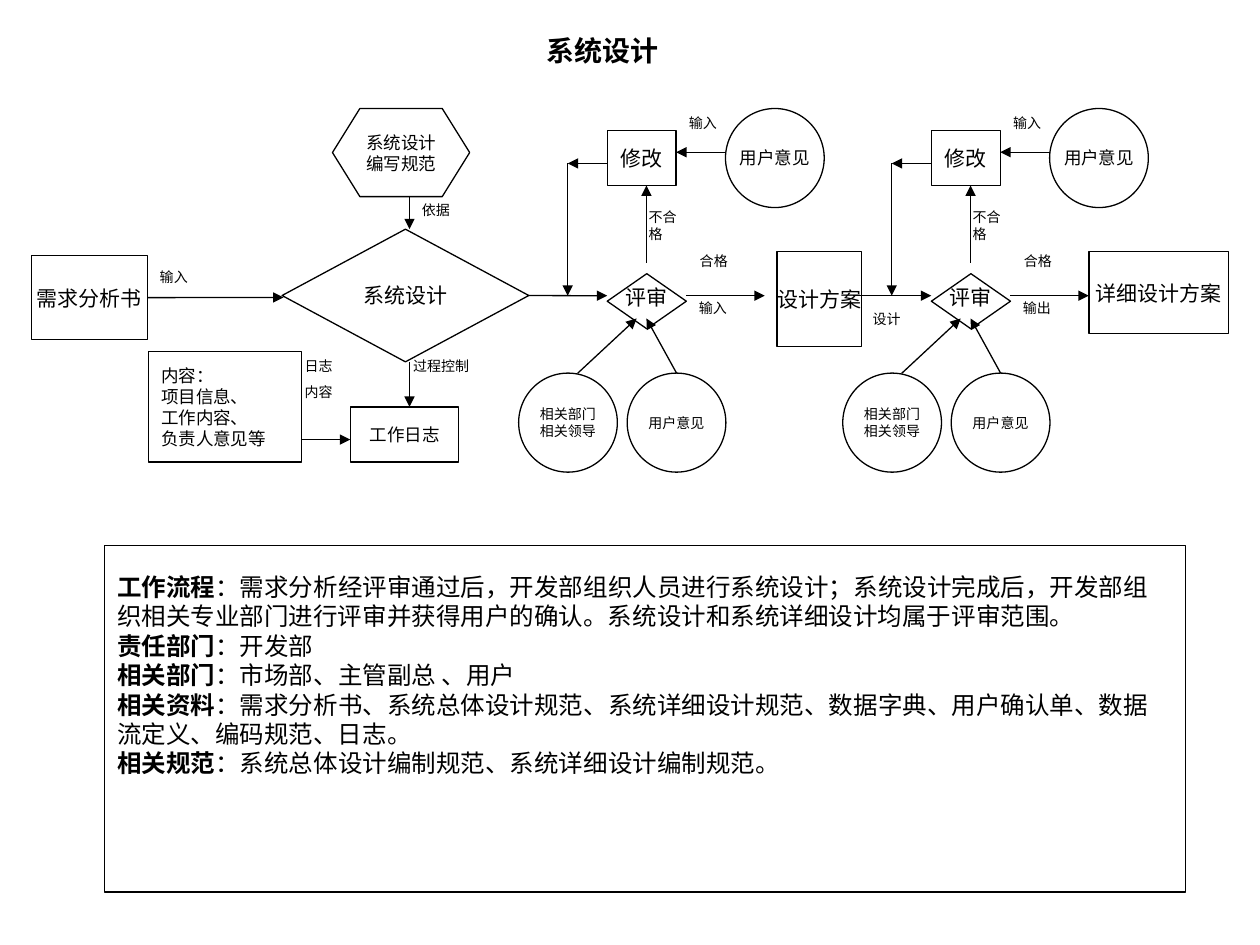
from lxml import etree
from pptx import Presentation
from pptx.dml.color import RGBColor
from pptx.enum import shapes, text
from pptx.oxml import ns
from pptx.util import Pt

BLACK = RGBColor(0, 0, 0)
FONT = "Times New Roman"
KIND = shapes.MSO_SHAPE
LEFT, CENTER = text.PP_ALIGN.LEFT, text.PP_ALIGN.CENTER
TOP, MIDDLE = text.MSO_ANCHOR.TOP, text.MSO_ANCHOR.MIDDLE

prs = Presentation()
prs.slide_width, prs.slide_height = Pt(720), Pt(540)
s = prs.slides.add_slide(prs.slide_layouts[6])


def add_text(kind, x, y, w, h, content, size=8, align=CENTER, wrap=False,
             anchor=MIDDLE, top=3.6, bottom=3.6):
    """Add an outlined shape, or a text box if kind is None; "|" ends a bold lead."""
    box = [Pt(v) for v in (x, y, w, h)]
    if kind is None:
        sp = s.shapes.add_textbox(*box)
        align, anchor = LEFT, TOP
    else:
        sp = s.shapes.add_shape(kind, *box)
        sp.shadow.inherit = False
        sp.fill.background()
        sp.line.color.rgb = BLACK
        sp.line.width = Pt(0.75)
    tf = sp.text_frame
    frame_format = {"word_wrap": wrap, "vertical_anchor": anchor,
                    "margin_left": Pt(7.2), "margin_right": Pt(7.2),
                    "margin_top": Pt(top), "margin_bottom": Pt(bottom)}
    for name, value in frame_format.items():
        setattr(tf, name, value)
    for i, line in enumerate(content.split("\n")):
        p = tf.add_paragraph() if i else tf.paragraphs[0]
        p.alignment = align
        if kind is None:
            p.space_before = Pt(5)
        lead, _, rest = line.rpartition("|")
        for part, bold in ((lead, True), (rest, False)):
            if part:
                r = p.add_run()
                r.text = part
                r.font.color.rgb = BLACK
                for name, value in {"name": FONT, "size": Pt(size), "bold": bold}.items():
                    setattr(r.font, name, value)
    return sp


def add_arrow(x1, y1, x2, y2):
    c = s.shapes.add_connector(shapes.MSO_CONNECTOR.STRAIGHT, Pt(x1), Pt(y1), Pt(x2), Pt(y2))
    c.line.color.rgb = BLACK
    c.line.width = Pt(0.75)
    etree.SubElement(c.line._get_or_add_ln(), ns.qn("a:tailEnd"), type="triangle")
    etree.SubElement(c._element.spPr, ns.qn("a:effectLst"))
    return c


add_text(None, 305.2, 15.8, 105.8, 26.6, "系统设计|", 16, wrap=True)

# Work flow description
add_text(KIND.RECTANGLE, 59.8, 311.8, 617.8, 198, "\n".join((
    "工作流程|：需求分析经评审通过后，开发部组织人员进行系统设计；系统设计完成后，"
    "开发部组织相关专业部门进行评审并获得用户的确认。系统设计和系统详细设计均属于评审范围。",
    "责任部门|：开发部",
    "相关部门|：市场部、主管副总 、用户",
    "相关资料|：需求分析书、系统总体设计规范、系统详细设计规范、数据字典、用户确认单、"
    "数据流定义、编码规范、日志。",
    "相关规范|：系统总体设计编制规范、系统详细设计编制规范。",
)), 14, LEFT, wrap=True, anchor=TOP, top=15)

# Design stage
requirements = add_text(KIND.FLOWCHART_PROCESS, 18, 146, 66.2, 48.2, "需求分析书", 12)
design = add_text(KIND.FLOWCHART_DECISION, 161.2, 131, 141, 75.8, "系统设计", 12)
add_text(KIND.FLOWCHART_PREPARATION, 190, 62, 78.4, 50.4, "系统设计\n编写规范", 10)
add_text(KIND.RECTANGLE, 200.2, 232.5, 62, 31.5, "工作日志", 10)
add_text(KIND.RECTANGLE, 85, 200.8, 87.4, 63.2,
         "内容：\n项目信息、\n工作内容、\n负责人意见等", 10, LEFT)
for x, y, w, h, label in (
        (84.2, 149.8, 54, 17.3, "输入"),
        (234, 111.6, 53.3, 17.3, "依据"),
        (229, 200.9, 76.3, 17.3, "过程控制"),
        (167, 200.9, 59, 31.7, "日志\n内容")):
    add_text(None, x, y, w, h, label, wrap=True)
add_arrow(84.2, 170, 162, 170).begin_connect(requirements, 3)
add_arrow(302.2, 169, 347, 169).begin_connect(design, 3)
add_arrow(234, 112.4, 234, 131)
add_arrow(234, 207, 234, 232.5)
add_arrow(172.4, 251.2, 200.2, 251.2)

# Results of the two reviews
add_text(KIND.FLOWCHART_PROCESS, 444, 143.8, 48.2, 54.2, "设计方案", 12)
add_text(KIND.FLOWCHART_PROCESS, 622.2, 143.8, 79.8, 46.8, "详细设计方案", 12)
add_text(None, 491.6, 174, 30.4, 17.3, "设计")
add_arrow(487.4, 169, 532.2, 169)

# Review cycles, each starting at the left corner of its decision
for x, result, reach in ((347, "输入", 437), (532.2, "输出", 622.2)):
    add_text(KIND.FLOWCHART_DECISION, x, 156.4, 45.2, 31.5, "评审", 12, bottom=8)
    add_text(KIND.RECTANGLE, x, 74.4, 39.4, 31.5, "修改", 12)
    circles = [add_text(KIND.FLOWCHART_CONNECTOR, x + dx, y, 56.4, 56.6, label, size)
               for dx, y, label, size in ((-50.6, 213.2, "相关部门\n相关领导", 8),
                                          (67.6, 62, "用户意见", 10),
                                          (11.4, 213.2, "用户意见", 8))]
    for dx, y, w, label in ((45.8, 141, 30.4, "合格"), (16.6, 115.9, 38.2, "不合格"),
                            (45.2, 167.8, 54, result), (39.6, 61.7, 51, "输入")):
        add_text(None, x + dx, y, w, 17.3, label, wrap=w > 40)
    add_arrow(x + 45.2, 169, reach, 169)
    for x1, y1, x2, y2 in ((22.4, 150.2, 22.4, 106), (0, 93.4, -22.6, 93.4),
                           (-22.6, 93.4, -22.6, 169), (-17, 213.4, 16.8, 182),
                           (67.6, 87, 39.4, 87)):
        add_arrow(x + x1, y1, x + x2, y2)
    add_arrow(x + 39.6, 213.2, x + 22.4, 182).begin_connect(circles[-1], 0)

prs.save("out.pptx")
